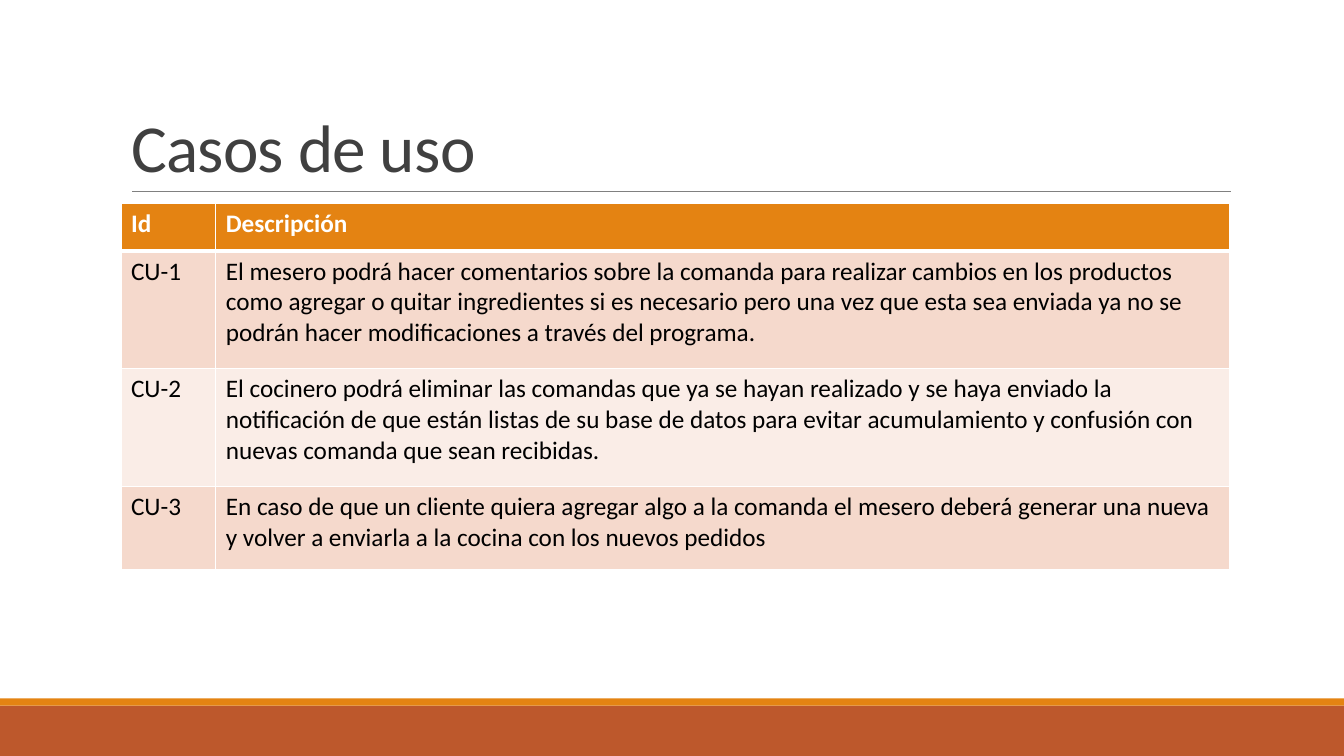
from lxml import etree
from pptx import Presentation
from pptx.dml.color import RGBColor
from pptx.enum.shapes import MSO_CONNECTOR, MSO_SHAPE
from pptx.enum.text import MSO_ANCHOR, PP_ALIGN
from pptx.oxml.ns import qn
from pptx.util import Inches, Pt

RECTANGLE = MSO_SHAPE.RECTANGLE
STRAIGHT = MSO_CONNECTOR.STRAIGHT
BOTTOM = MSO_ANCHOR.BOTTOM
TOP = MSO_ANCHOR.TOP
LEFT = PP_ALIGN.LEFT

WIDTH, HEIGHT = 13.33, 7.5
MARGIN, CONTENT_WIDTH = 1.2, 11
FONT = "Calibri"
ORANGE, RUST, WHITE = "E48312", "BD582C", "FFFFFF"
BANDS = ("F5D9CC", "FAEDE7")
COLUMN_WIDTHS = (0.94, 10.06)
ROW_HEIGHTS = (0.47, 1.17, 1.17, 0.82)
BORDER_SIDES = ("L", "R", "T", "B")

USE_CASES = (
    ("Id ", "Descripción"),
    ("CU-1", "El mesero podrá hacer comentarios sobre la comanda para realizar "
     "cambios en los productos como agregar o quitar ingredientes si es necesario "
     "pero una vez que esta sea enviada ya no se podrán hacer modificaciones a "
     "través del programa."),
    ("CU-2", "El cocinero podrá eliminar las comandas que ya se hayan realizado y "
     "se haya enviado la notificación de que están listas de su base de datos para "
     "evitar acumulamiento y confusión con nuevas comanda que sean recibidas."),
    ("CU-3", "En caso de que un cliente quiera agregar algo a la comanda el mesero "
     "deberá generar una nueva y volver a enviarla a la cocina con los nuevos pedidos "),
)


def color(value):
    return RGBColor.from_string(value)


def write(frame, text, size=18, fill="000000", bold=False, anchor=TOP,
          line_spacing=1.0, tracking=0):
    frame.word_wrap = True
    frame.vertical_anchor = anchor
    paragraph = frame.paragraphs[0]
    paragraph.alignment = LEFT
    paragraph.line_spacing = line_spacing
    run = paragraph.add_run()
    run.text = text
    run.font.name = FONT
    run.font.size = Pt(size)
    run.font.bold = bold
    run.font.color.rgb = color(fill)
    if tracking:
        run.font._element.set("spc", str(round(tracking * 100)))


def add_band(slide, top, height, fill):
    band = slide.shapes.add_shape(
        RECTANGLE, 0, Inches(top), Inches(WIDTH), Inches(height))
    band.shadow.inherit = False
    band.fill.solid()
    band.fill.fore_color.rgb = color(fill)
    band.line.fill.background()


def add_rule(slide, left, right, top):
    rule = slide.shapes.add_connector(
        STRAIGHT, Inches(left), Inches(top), Inches(right), Inches(top))
    rule.line.color.rgb = color("808080")
    rule.line.width = Pt(0.5)
    etree.SubElement(rule._element.spPr, qn("a:effectLst"))


def set_title(slide, text):
    title = slide.shapes.title
    title.left, title.top = Inches(MARGIN), Inches(0.31)
    title.width, title.height = Inches(CONTENT_WIDTH), Inches(1.59)
    write(title.text_frame, text, size=48, fill="404040", anchor=BOTTOM,
          line_spacing=0.85, tracking=-0.5)


def set_borders(cell, widths):
    properties = cell._tc.get_or_add_tcPr()
    for position, (side, width) in enumerate(zip(BORDER_SIDES, widths)):
        border = etree.Element(qn(f"a:ln{side}"), w=str(Pt(width)))
        fill = etree.SubElement(border, qn("a:solidFill"))
        etree.SubElement(fill, qn("a:srgbClr"), val=WHITE)
        properties.insert(position, border)


def add_use_cases(slide, top):
    table = slide.shapes.add_table(
        len(USE_CASES), len(COLUMN_WIDTHS), Inches(MARGIN), Inches(top),
        Inches(CONTENT_WIDTH), Inches(sum(ROW_HEIGHTS))).table
    for column, width in zip(table.columns, COLUMN_WIDTHS):
        column.width = Inches(width)
    for index, (row, height) in enumerate(zip(table.rows, ROW_HEIGHTS)):
        row.height = Inches(height)
        heading = index == 0
        background = ORANGE if heading else BANDS[(index - 1) % 2]
        borders = (1, 1, 3 if index == 1 else 1, 3 if heading else 1)
        for cell, text in zip(row.cells, USE_CASES[index]):
            cell.fill.solid()
            cell.fill.fore_color.rgb = color(background)
            set_borders(cell, borders)
            cell.vertical_anchor = TOP
            write(cell.text_frame, text, bold=heading,
                  fill=WHITE if heading else "000000")


def main():
    presentation = Presentation()
    presentation.slide_width = Inches(WIDTH)
    presentation.slide_height = Inches(HEIGHT)
    slide = presentation.slides.add_slide(presentation.slide_layouts[5])
    add_band(slide, top=7, height=0.5, fill=RUST)
    add_band(slide, top=6.93, height=0.07, fill=ORANGE)
    add_rule(slide, left=1.31, right=12.21, top=1.9)
    set_title(slide, "Casos de uso")
    add_use_cases(slide, top=2.02)
    presentation.save("out.pptx")


main()
